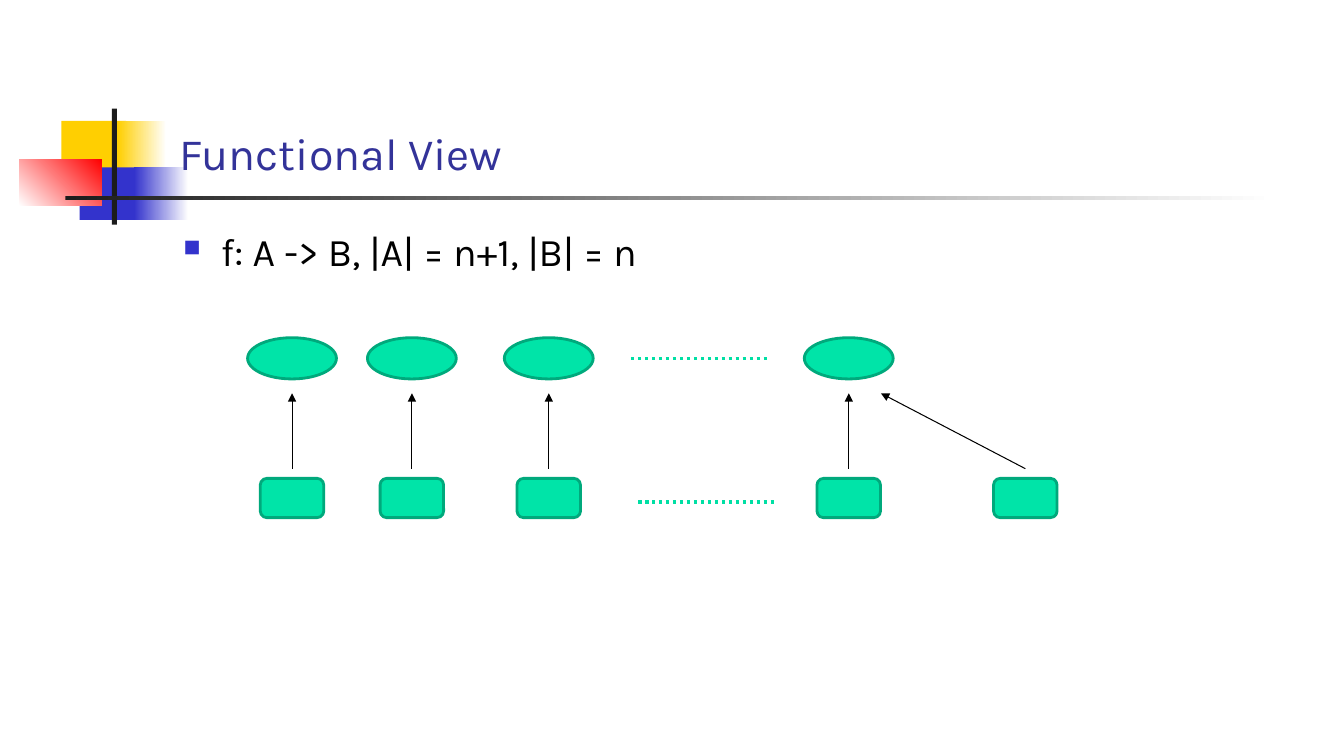
from dataclasses import dataclass

from lxml import etree
from pptx import Presentation
from pptx.dml.color import RGBColor as RGB
from pptx.enum.dml import MSO_LINE
from pptx.enum.shapes import MSO_CONNECTOR, MSO_SHAPE as SHAPE
from pptx.enum.text import MSO_ANCHOR as ANCHOR
from pptx.oxml import parse_xml
from pptx.oxml.ns import nsdecls, qn
from pptx.util import Cm, Pt


@dataclass(frozen=True)
class Theme:
    font: str = "Karla"
    title_size: float = 32
    body_size: float = 28
    title: str = "333399"
    black: str = "000000"
    white: str = "FFFFFF"
    yellow: str = "FFCF01"
    blue: str = "3333CC"
    red: str = "FF0000"
    dark: str = "1C1C1C"
    node: str = "00E4A8"
    node_edge: str = "00A97C"
    dots: str = "00DFA4"


theme = Theme()
deck = Presentation()
deck.slide_width, deck.slide_height = Cm(33.87), Cm(19.05)
page = deck.slides.add_slide(deck.slide_layouts[6])


def add_line(start, end, color, width):
    line = page.shapes.add_connector(
        MSO_CONNECTOR.STRAIGHT, *[Cm(value) for value in (*start, *end)])
    line.line.color.rgb = RGB.from_string(color)
    line.line.width = Pt(width)
    etree.SubElement(line._element.spPr, qn("a:effectLst"))
    return line


def add_text(place, text, size, color, anchor):
    box = page.shapes.add_textbox(*[Cm(value) for value in place])
    box.text_frame.word_wrap = True
    box.text_frame.vertical_anchor = anchor
    para = box.text_frame.paragraphs[0]
    span = para.add_run()
    span.text = text
    span.font.name = theme.font
    span.font.size = Pt(size)
    span.font.color.rgb = RGB.from_string(color)
    return para


# Corner ornament and title rule: place, fill colours, gradient angle
ornament = [
    ((1.55, 3.05, 1.63, 1.32), [theme.yellow], 0),
    ((2.97, 3.05, 1.22, 1.32), [theme.yellow, theme.white], 0),
    ((2.01, 4.22, 1.57, 1.32), [theme.blue], 0),
    ((3.38, 4.22, 1.37, 1.32), [theme.blue, theme.white], 0),
    ((0.48, 4.01, 2.08, 1.17), [theme.white, theme.red], 45),
    ((2.82, 2.74, 0.13, 2.92), [theme.dark], 0),
    ((1.65, 4.95, 30.48, 0.09), [theme.dark, theme.white], 0),
]
for place, colors, angle in ornament:
    block = page.shapes.add_shape(SHAPE.RECTANGLE, *[Cm(value) for value in place])
    block.shadow.inherit = False
    block.line.fill.background()
    if len(colors) == 1:
        block.fill.solid()
        block.fill.fore_color.rgb = RGB.from_string(colors[0])
    else:
        block.fill.gradient()
        block.fill.gradient_angle = angle
        for stop, color in zip(block.fill.gradient_stops, colors):
            stop.color.rgb = RGB.from_string(color)

# Title
add_text((4.27, 0.58, 28.85, 4.06), "Functional View",
         theme.title_size, theme.title, ANCHOR.BOTTOM)

# Bulleted statement
statement = add_text((4.37, 5.61, 28.78, 11.43), "f: A -> B, |A| = n+1, |B| = n",
                     theme.body_size, theme.black, ANCHOR.TOP)
bullet = statement._p.get_or_add_pPr()
bullet.set("marL", str(Cm(0.95)))
bullet.set("indent", str(-Cm(0.95)))
for part in ('<a:spcBef {}><a:spcPct val="20000"/></a:spcBef>',
             '<a:buClr {}><a:srgbClr val="' + theme.blue + '"/></a:buClr>',
             '<a:buSzPct {} val="60000"/>',
             '<a:buChar {} char="■"/>'):
    bullet.append(parse_xml(part.format(nsdecls("a"))))

# Elements of B (ellipses) above elements of A (rounded boxes)
columns = [7.36, 10.38, 13.83, 21.39]
extra_column = 25.84
node_rows = [
    (SHAPE.OVAL, columns, 9.03, 2.24, 1.04),
    (SHAPE.ROUNDED_RECTANGLE, columns + [extra_column], 12.55, 1.6, 0.99),
]
for kind, centers, middle, width, height in node_rows:
    for center in centers:
        node = page.shapes.add_shape(kind, Cm(center - width / 2), Cm(middle - height / 2),
                                     Cm(width), Cm(height))
        node.shadow.inherit = False
        node.fill.solid()
        node.fill.fore_color.rgb = RGB.from_string(theme.node)
        node.line.color.rgb = RGB.from_string(theme.node_edge)
        node.line.width = Pt(2)

# Dotted lines for the elements left out
for left, middle in [(15.9, 9.04), (16.08, 12.65)]:
    dots = add_line((left, middle), (left + 3.48, middle), theme.dots, 2.5)
    dots.line.dash_style = MSO_LINE.ROUND_DOT

# Mapping arrows; the extra element shares the last target
arrows = [(center, center) for center in columns] + [(extra_column, 22.2)]
for source, target in arrows:
    arrow = add_line((source, 11.81), (target, 9.91), theme.black, 0.75)
    etree.SubElement(arrow.line._get_or_add_ln(), qn("a:tailEnd"), type="triangle")

deck.save("out.pptx")
